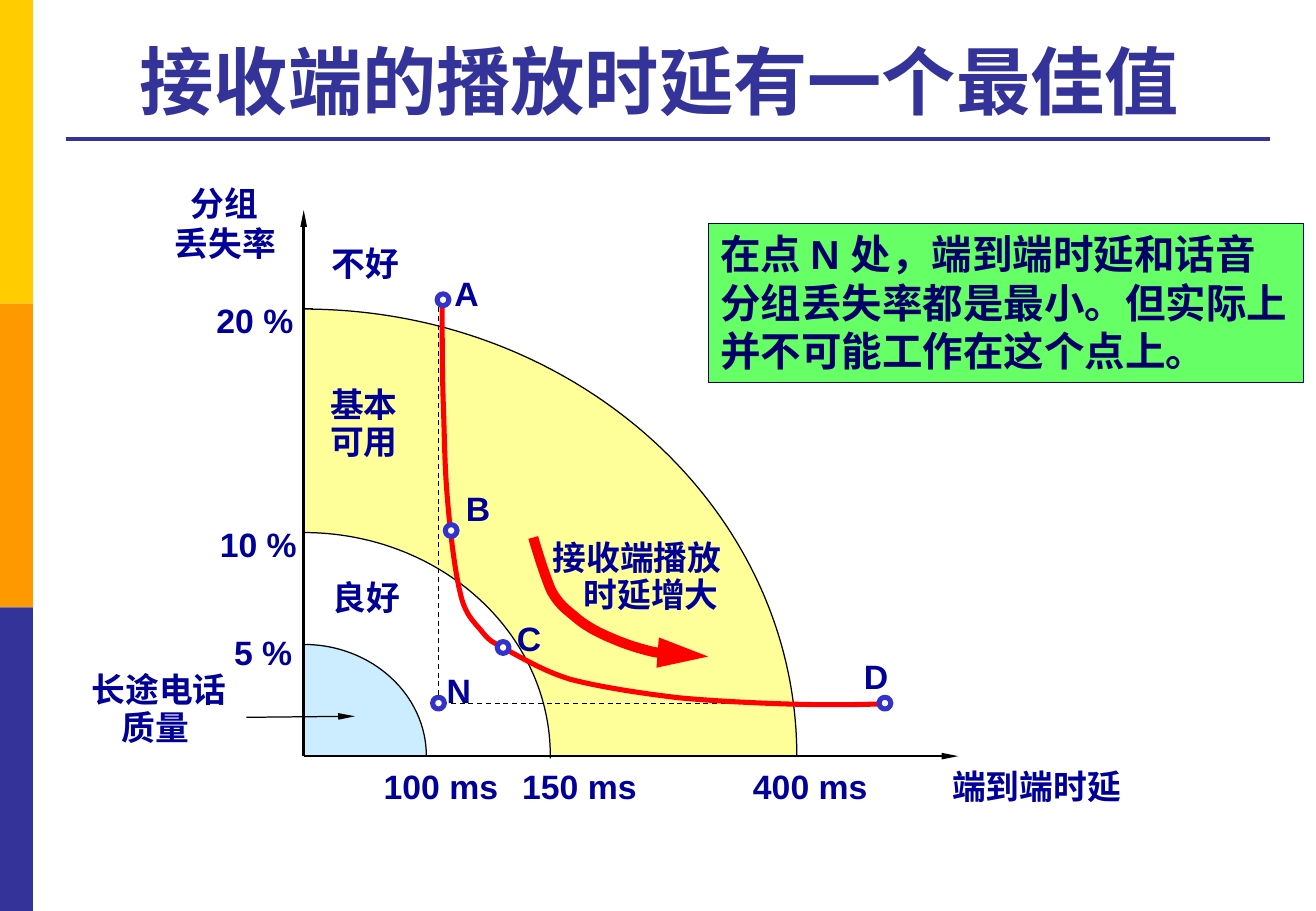
from copy import deepcopy
from dataclasses import dataclass

from lxml.etree import SubElement
from pptx import Presentation
from pptx.dml.color import RGBColor
from pptx.enum.dml import MSO_LINE
from pptx.enum.shapes import MSO_CONNECTOR, MSO_SHAPE
from pptx.enum.text import MSO_ANCHOR, MSO_AUTO_SIZE as AutoSize, PP_ALIGN
from pptx.oxml.ns import qn
from pptx.util import Pt


@dataclass(frozen=True)
class Theme:
    font: str = "Arial"
    title_size: int = 44
    note_size: int = 24
    label_size: int = 20
    bands: tuple = ("FFCC00", "FF9900", "333399")
    title: str = "333399"
    label: str = "000099"
    ink: str = "000000"
    usable: str = "FFFF99"
    good: str = "FFFFFF"
    toll: str = "CCECFF"
    curve: str = "FF0000"
    marker: str = "3333CC"
    marker_fill: str = "FFFFFF"
    note_fill: str = "66FF66"
    note_ink: str = "000066"


THEME = Theme()
ARC = 0.5523  # Bezier handle of a quarter circle
TICK = 5.8

# Plot data: points right of and above the axes' origin
TIERS = [  # delay radius, loss radius, drop below the axis, fill
    (292.3, 265, 0, THEME.usable),
    (146.2, 132.5, 1.4, THEME.good),
    (72.7, 66.2, 0, THEME.toll),
]
LABELS = [  # text, left, top, width, line spacing, indent of each line
    ("分组\n丢失率", -83.5, 343.5, 75.6, 1, (9.5, 0)),
    ("端到端时延", 377.3, -2, 115, 1, (0,)),
    ("20 %", -58.8, 274.2, 60.5, 1, (0,)),
    ("10 %", -56.8, 141, 60.5, 1, (0,)),
    ("5 %", -48.4, 77.4, 49, 1, (0,)),
    ("100 ms", 40.3, -2, 82.8, 1, (0,)),
    ("150 ms", 122.4, -2, 82.8, 1, (0,)),
    ("400 ms", 259.2, -2, 82.8, 1, (0,)),
    ("不好", 9.4, 307.8, 54.7, 1, (0,)),
    ("基本\n可用", 8.6, 221.4, 54.7, 0.9, (0, 0)),
    ("良好", 10, 109.8, 54.7, 1, (0,)),
    ("长途电话\n质量", -132.8, 53.6, 95, 0.95, (0, 18)),
    ("接收端播放\n时延增大", 140.4, 130.6, 118, 0.9, (0, 18.4)),
]
MARKERS = [  # name, centre, left and top of the name
    ("A", (82.6, 270.5), (82.2, 289.8)),
    ("B", (87.4, 133.7), (89, 162.4)),
    ("C", (118.2, 64.4), (119.3, 85.6)),
    ("D", (344.5, 31.4), (325, 63)),
    ("N", (79.9, 31.4), (77.6, 54.6)),
]
# Bezier chains: a start, then two controls and an end per segment
TRADE_OFF = [
    (82.1, 267.8), (82.1, 257.8), (82.1, 226.8), (82.8, 208.8),
    (83.5, 190.1), (83.5, 174.2), (85, 155.5),
    (86.4, 137.5), (89.3, 110.9), (92.9, 96.5),
    (95.8, 82.8), (102.2, 78.5), (106.6, 72.7),
    (110.9, 67.7), (110.9, 68.4), (119.5, 63.4),
    (128.2, 59), (141.8, 50.4), (158.4, 45.4),
    (175.7, 41), (198.7, 37.4), (221.8, 34.6),
    (244.8, 32.4), (276.5, 31), (296.6, 30.6),
    (316.8, 30.2), (334.8, 30.6), (344.2, 31),
]
GROWING_DELAY = [
    (136.1, 129.6), (137.5, 124.6), (143.3, 105.8), (146.9, 97.9),
    (151.2, 90), (155.5, 87.1), (160.6, 82.8),
    (166.3, 77.8), (172.8, 74.2), (179.3, 71.3),
    (185.8, 68.4), (193, 65.5), (200.9, 63.4),
    (208.8, 61.2), (219.6, 59.8), (226.1, 59),
    (232.6, 57.6), (236.2, 58.3), (239.8, 59),
]


def rgb(color):
    return RGBColor.from_string(color)


def style_text(frame, size, color):
    for paragraph in frame.paragraphs:
        for run in paragraph.runs:
            font = run.font
            font.name, font.size, font.bold = THEME.font, Pt(size), True
            font.color.rgb = rgb(color)


def style_line(shape, color, width, head=None):
    shape.line.color.rgb = rgb(color)
    shape.line.width = Pt(width)
    if head:
        SubElement(shape.line._get_or_add_ln(), qn("a:tailEnd"),
                   type="triangle", w=head, len="lg")


def style_shape(shape, fill=None, line=None, width=0.75, head=None):
    shape.shadow.inherit = False
    if fill:
        shape.fill.solid()
        shape.fill.fore_color.rgb = rgb(fill)
    else:
        shape.fill.background()
    if line:
        style_line(shape, line, width, head)
    else:
        shape.line.fill.background()


def add_line(slide, start, end, color, width, head=None):
    line = slide.shapes.add_connector(
        MSO_CONNECTOR.STRAIGHT, *(Pt(v) for v in (*start, *end)))
    style_line(line, color, width, head)
    SubElement(line._element.spPr, qn("a:effectLst"))


def add_outline(slide, points):
    vertices = [(Pt(x), Pt(y)) for x, y in points]
    builder = slide.shapes.build_freeform(*vertices[0], scale=1.0)
    builder.add_line_segments(vertices[1:], close=False)
    return builder.convert_to_shape()


def add_curve(slide, chain):
    """Draw a Bezier chain: every three points become one cubic segment."""
    curve = add_outline(slide, chain)
    outline = curve._element.spPr.find(".//" + qn("a:path"))
    steps = outline.findall(qn("a:lnTo"))
    for i in range(0, len(steps), 3):
        cubic = SubElement(outline, qn("a:cubicBezTo"))
        for step in steps[i:i + 3]:
            cubic.append(step[0])
            outline.remove(step)
    return curve, outline


def add_sector(slide, origin, rx, ry, drop, fill):
    x, y = origin
    chain = [(x, y - ry), (x + ARC * rx, y - ry), (x + rx, y - ARC * ry), (x + rx, y)]
    if drop:
        chain += [(x + rx, y + drop * part / 3) for part in (1, 2, 3)]
    sector, arc = add_curve(slide, chain)
    # The arc is stroked only; the closed sector is filled only
    area = deepcopy(arc)
    arc.set("fill", "none")
    area.set("stroke", "0")
    corner = SubElement(area, qn("a:lnTo"))
    SubElement(corner, qn("a:pt"), x="0", y=str(Pt(ry)))
    SubElement(area, qn("a:close"))
    arc.addnext(area)
    style_shape(sector, fill, THEME.ink)


def add_bands(slide, left, top, width, height):
    band_height = height / len(THEME.bands)
    for i, color in enumerate(THEME.bands):
        band = slide.shapes.add_shape(
            MSO_SHAPE.RECTANGLE, Pt(left), Pt(top + i * band_height), Pt(width), Pt(band_height))
        style_shape(band, color)


def add_title(slide, left, top, width, height):
    title = slide.shapes.title
    title.left, title.top, title.width, title.height = map(Pt, (left, top, width, height))
    frame = title.text_frame
    frame.text = "接收端的播放时延有一个最佳值 "
    frame.auto_size = AutoSize.NONE
    frame.vertical_anchor = MSO_ANCHOR.BOTTOM
    frame.paragraphs[0].alignment = PP_ALIGN.CENTER
    style_text(frame, THEME.title_size, THEME.title)
    rule_y = top + height + 5
    add_line(slide, (left, rule_y), (left + width, rule_y), THEME.title, 2.25)


def add_label(slide, text, left, top, width, spacing=1, indents=(0,)):
    box = slide.shapes.add_textbox(
        Pt(left), Pt(top), Pt(width), Pt(7.2 + 24 * spacing * len(indents)))
    frame = box.text_frame
    frame.text = text
    frame.word_wrap = False
    frame.auto_size = AutoSize.SHAPE_TO_FIT_TEXT
    for paragraph, indent in zip(frame.paragraphs, indents):
        paragraph.line_spacing = spacing
        if indent:
            paragraph._p.get_or_add_pPr().set("marL", str(Pt(indent)))
    style_text(frame, THEME.label_size, THEME.label)


def add_plot(slide, left, top, width, height):
    def at(point):
        return left + point[0], top + height - point[1]

    # Axis ticks, then the quality regions, largest first
    for rx, ry, _, _ in TIERS:
        add_line(slide, at((rx, TICK)), at((rx, 0)), THEME.ink, 0.75)
        add_line(slide, at((TICK, ry)), at((0, ry)), THEME.ink, 0.75)
    for tier in TIERS:
        add_sector(slide, at((0, 0)), *tier)

    # Axes and the pointer to the innermost region
    for start, end, weight in (((0, 0), (0, height), 1.5),
                               ((0, 0), (width, 0), 1.5),
                               ((-34, 23), (30.4, 23.6), 0.75)):
        add_line(slide, at(start), at(end), THEME.ink, weight, head="sm")

    # Dashed guides through N, then the curves
    guides = add_outline(slide, map(at, [(79.9, 271.2), (79.9, 31), (343.5, 31)]))
    style_shape(guides, line=THEME.ink)
    guides.line.dash_style = MSO_LINE.DASH
    for chain, weight, head in ((TRADE_OFF, 3, None), (GROWING_DELAY, 6, "med")):
        curve, _ = add_curve(slide, map(at, chain))
        style_shape(curve, line=THEME.curve, width=weight, head=head)

    # Marked points and labels
    size = 7
    for name, centre, corner in MARKERS:
        x, y = at(centre)
        marker = slide.shapes.add_shape(
            MSO_SHAPE.OVAL, Pt(x - size / 2), Pt(y - size / 2), Pt(size), Pt(size))
        style_shape(marker, THEME.marker_fill, THEME.marker, 3)
        add_label(slide, name, *at(corner), 29.5)
    for text, x, up, label_width, spacing, indents in LABELS:
        add_label(slide, text, *at((x, up)), label_width, spacing, indents)


def add_note(slide, left, top, width, height):
    note = slide.shapes.add_shape(
        MSO_SHAPE.RECTANGLE, Pt(left), Pt(top), Pt(width), Pt(height))
    style_shape(note, THEME.note_fill, THEME.note_ink)
    frame = note.text_frame
    frame.text = "在点 N 处，端到端时延和话音分组丢失率都是最小。但实际上并不可能工作在这个点上。"
    frame.word_wrap = True
    frame.auto_size = AutoSize.SHAPE_TO_FIT_TEXT
    frame.vertical_anchor = MSO_ANCHOR.TOP
    frame.paragraphs[0].alignment = PP_ALIGN.LEFT
    style_text(frame, THEME.note_size, THEME.note_ink)


def main():
    deck = Presentation()
    deck.slide_width, deck.slide_height = Pt(780), Pt(540)
    slide = deck.slides.add_slide(deck.slide_layouts[5])
    add_bands(slide, 0, 0, 19.5, 540)
    add_title(slide, 39, 15, 714, 62.6)
    add_plot(slide, 180, 124.6, 388, 323.6)
    add_note(slide, 419.8, 132.3, 352.8, 94.3)
    deck.save("out.pptx")


if __name__ == "__main__":
    main()
